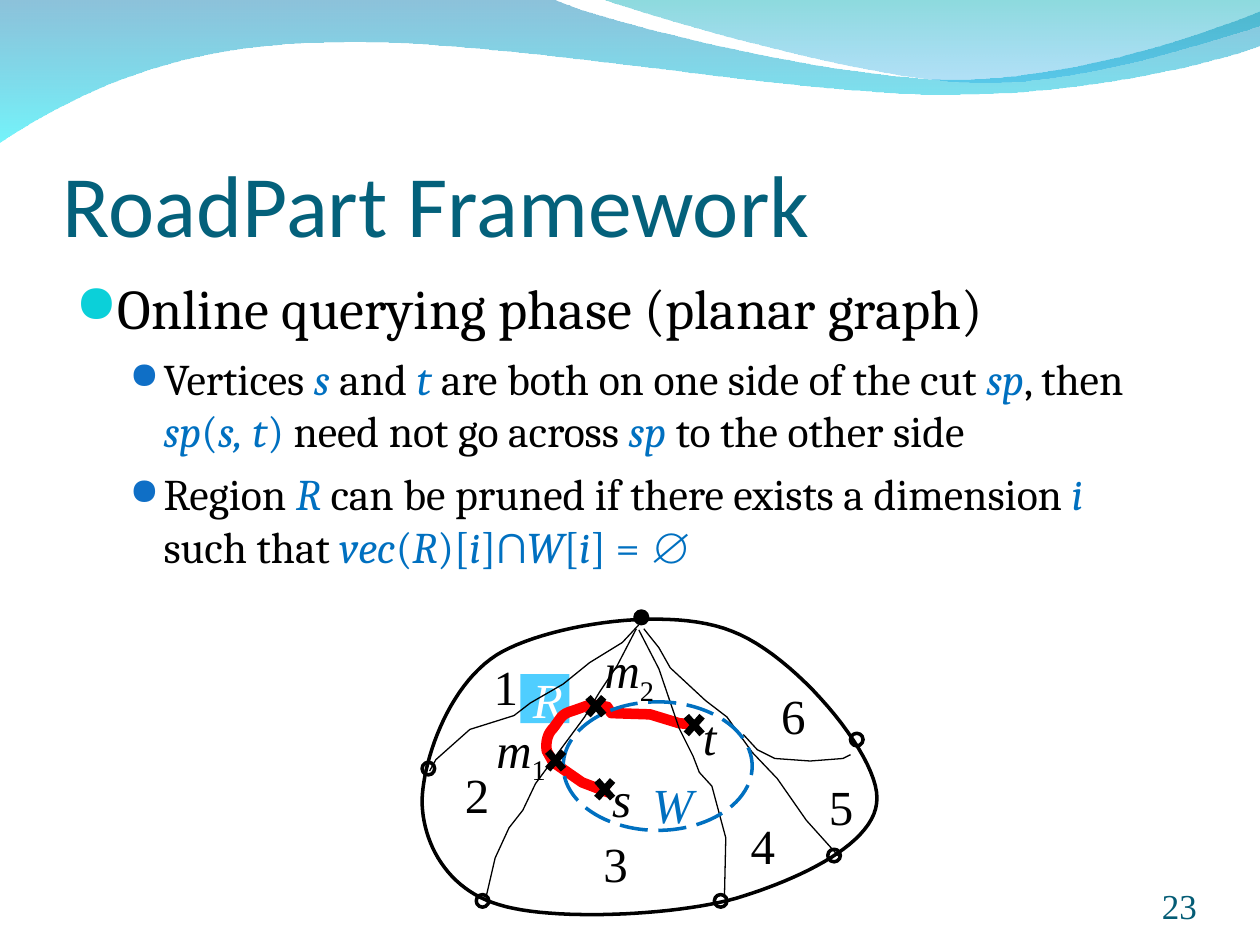
from pptx import Presentation
from pptx.dml.color import RGBColor
from pptx.enum.dml import MSO_LINE as Dash
from pptx.enum.shapes import MSO_SHAPE as Kind
from pptx.enum.text import MSO_ANCHOR as Anchor, MSO_AUTO_SIZE as Fit, PP_ALIGN as Align
from pptx.oxml.ns import qn
from pptx.util import Emu, Pt
from lxml.etree import SubElement as add_sub

PX = 9144
SIZE = 1000, 750
BLACK, BLUE, TEAL = "000000", "0070C0", "04617B"
SERIF = "Times New Roman"

WAVES = [
    ([(0, 0), (440, 0), (476, 17, 664, 63, 758, 63), (853, 63, 958, 26, 1000, 9),
      (1000, 36), (983, 44, 870, 76, 746, 75), (622, 75, 382, 28, 257, 34),
      (129, 35, 46, 83, 0, 113)], [("0079AF", 45), ("00EBF8", 55)]),
    ([(479, 0), (509, 11, 682, 62, 769, 65), (856, 69, 961, 32, 1000, 21), (1000, 0)],
     [("00ADB6", 45), ("009BE5", 30)]),
]

TITLE = "RoadPart Framework"
NUMBER = "23"
LEVELS = [
    dict(size=32, left=30, hang=30, gap=0, tint="0BD0D9", scale=95),
    dict(size=25, left=70, hang=27, gap=6.2, tint="0F6FC6", scale=85),
]
STYLES = {"k": (BLACK, False), "i": (BLUE, True), "u": (BLUE, False)}
BODY = [
    (0, [("k", "Online querying phase (planar graph)")]),
    (1, [("k", "Vertices "), ("i", "s "), ("k", "and "), ("i", "t"),
         ("k", " are both on one side of the cut "), ("i", "sp"), ("k", ", then "),
         ("i", "sp"), ("u", "("), ("i", "s, t"), ("u", ") "),
         ("k", "need not go across "), ("i", "sp"), ("k", " to the other side")]),
    (1, [("k", "Region "), ("i", "R"),
         ("k", " can be pruned if there exists a dimension "), ("i", "i"),
         ("k", " such that "), ("i", "vec"), ("u", "("), ("i", "R"), ("u", ")["),
         ("i", "i"), ("u", "]∩"), ("i", "W"), ("u", "["), ("i", "i"), ("u", "] = ∅")]),
]

BORDER = [(335, 635), (336, 601, 358, 539, 399, 517), (440, 495, 532, 481, 581, 501),
          (631, 520, 696, 598, 696, 633), (697, 669, 634, 698, 584, 713),
          (534, 727, 437, 731, 396, 718), (355, 706, 335, 669, 335, 635)]
ROUTE = [(483, 629), (462, 621), (439, 605), (434, 596), (433, 590, 434, 583, 439, 578),
         (446, 569, 445, 567, 455, 564), (469, 559), (482, 561), (485, 566),
         (516, 567), (539, 574), (550, 575)]
ROADS = [
    [(511, 499), (523, 514), (532, 530), (560, 556), (577, 569), (597, 597),
     (617, 618), (640, 651), (667, 681)],
    [(590, 583), (601, 595), (615, 602), (643, 604), (669, 602), (675, 599)],
    [(507, 500), (523, 531), (539, 578), (550, 600), (555, 613), (565, 624),
     (576, 665), (575, 710)],
    [(505, 499), (490, 528), (476, 549), (464, 569), (447, 592), (425, 622),
     (415, 643), (404, 657), (393, 681), (386, 711)],
    [(507, 496), (494, 510), (468, 526), (447, 543), (421, 558), (408, 568),
     (373, 579), (346, 603), (341, 612)],
]
TOP = 504, 485
RIM = [(335, 605), (675, 582), (657, 674), (378, 710), (567, 710)]
CROSSES = [(468, 613), (539, 562), (461, 547), (429, 590)]
WIDE = {"W": 52, "t": 31, "s": 35, "m": 59}
LABELS = [
    ("1", 382, 516), ("2", 359, 602), ("3", 469, 657), ("4", 586, 642),
    ("5", 648, 611), ("6", 610, 539), ("W", 508, 610), ("t", 548, 556),
    ("s", 476, 605), ("m1", 384, 566), ("m2", 470, 503),
]


def px(*vals):
    return [Emu(round(v * PX)) for v in vals]


def rgb(tone):
    return RGBColor.from_string(tone)


def style(run, size, font, tone, slant=False):
    run.font.size, run.font.name, run.font.italic = Pt(size), font, slant
    run.font.color.rgb = rgb(tone)


def paint(shape, fill=None, line=None, width=1):
    shape.shadow.inherit = False
    if fill:
        shape.fill.solid()
        shape.fill.fore_color.rgb = rgb(fill)
    else:
        shape.fill.background()
    if line:
        shape.line.color.rgb = rgb(line)
        shape.line.width = Pt(width)
    else:
        shape.line.fill.background()
    return shape


def trace(steps):
    pts = [steps[0]]
    for step in steps[1:]:
        if len(step) == 2:
            pts.append(step)
            continue
        knots = [pts[-1], step[:2], step[2:4], step[4:]]
        for n in range(1, 25):
            t = n / 24
            mix = (1 - t) ** 3, 3 * t * (1 - t) ** 2, 3 * t * t * (1 - t), t ** 3
            pts.append(tuple(sum(m * k[a] for m, k in zip(mix, knots)) for a in (0, 1)))
    return [tuple(px(*p)) for p in pts]


def outline(steps, close=False):
    pts = trace(steps)
    pen = shapes.build_freeform(*pts[0], scale=1.0)
    pen.add_line_segments(pts[1:], close=close)
    return pen.convert_to_shape()


def preset(kind, box, **look):
    return paint(shapes.add_shape(kind, *px(*box)), **look)


def text_box(box, inset=(10, 5, 10, 5), anchor=Anchor.TOP, wrap=True):
    frame = shapes.add_textbox(*px(*box)).text_frame
    frame.margin_left, frame.margin_top, frame.margin_right, frame.margin_bottom = px(*inset)
    frame.vertical_anchor, frame.word_wrap = anchor, wrap
    return frame


def bullet(para, left, hang, tint, scale):
    props = para._p.get_or_add_pPr()
    props.set("marL", str(left * PX))
    props.set("indent", str(-hang * PX))
    add_sub(add_sub(props, qn("a:buClr")), qn("a:srgbClr"), val=tint)
    add_sub(props, qn("a:buSzPct"), val=str(scale * 1000))
    add_sub(props, qn("a:buChar"), char="●")


deck = Presentation()
deck.slide_width, deck.slide_height = px(*SIZE)
shapes = deck.slides.add_slide(deck.slide_layouts[6]).shapes

for steps, stops in WAVES:
    wave = paint(outline(steps, True))
    wave.fill.gradient()
    wave.fill.gradient_angle = 270
    for stop, (tone, alpha) in zip(wave.fill.gradient_stops, stops):
        stop.color.rgb = rgb(tone)
    for node, (tone, alpha) in zip(wave._element.spPr.iter(qn("a:srgbClr")), stops):
        add_sub(node, qn("a:alpha"), val=str(alpha * 1000))

head = text_box((50, 77, 900, 125), (0, 5, 0, 0), Anchor.BOTTOM)
head.text = TITLE
style(head.paragraphs[0].runs[0], 50, "Calibri", TEAL)

body = text_box((50, 212, 863, 510))
for n, (level, parts) in enumerate(BODY):
    para = body.add_paragraph() if n else body.paragraphs[0]
    rule = LEVELS[level]
    para.level = level
    if n:
        para.space_before = Pt(rule["gap"])
    bullet(para, rule["left"], rule["hang"], rule["tint"], rule["scale"])
    for key, words in parts:
        run = para.add_run()
        run.text = words
        style(run, rule["size"], "Cambria", *STYLES[key])

foot = text_box((867, 695, 83, 40), (0, 0, 0, 0), Anchor.BOTTOM)
foot.text = NUMBER
foot.paragraphs[0].alignment = Align.RIGHT
style(foot.paragraphs[0].runs[0], 20, SERIF, "045C75")

area = preset(Kind.RECTANGLE, (413, 535, 39, 39), fill="4FCEFF").text_frame
area.text = "R"
area.vertical_anchor = Anchor.MIDDLE
area.paragraphs[0].alignment = Align.CENTER
style(area.paragraphs[0].runs[0], 28, SERIF, "FFFFFF", True)

paint(outline(ROUTE), line="FF0000", width=6)
paint(outline(BORDER, True), line=BLACK, width=2)
for spot in [TOP] + RIM:
    preset(Kind.OVAL, (*spot, 10, 10), fill=BLACK if spot == TOP else None, line=BLACK, width=2)
for road in ROADS:
    paint(outline(road), line=BLACK, width=0.75)
ring = preset(Kind.OVAL, (447, 557, 150, 102), line=BLUE, width=2)
ring.line.dash_style = Dash.LONG_DASH

for spot in CROSSES:
    preset(Kind.MATH_MULTIPLY, (*spot, 24, 27), fill=BLACK)
for label, x, y in LABELS:
    name, sub = label[0], label[1:]
    tone = BLUE if name == "W" else BLACK
    frame = text_box((x, y, WIDE.get(name, 39), 63 if sub else 57), wrap=False)
    frame.auto_size = Fit.SHAPE_TO_FIT_TEXT
    frame.text = name
    para = frame.paragraphs[0]
    style(para.runs[0], 28, SERIF, tone, name.isalpha())
    if sub:
        run = para.add_run()
        run.text = sub
        style(run, 28, SERIF, tone)
        run.font._element.set("baseline", "-25000")

deck.save("out.pptx")
